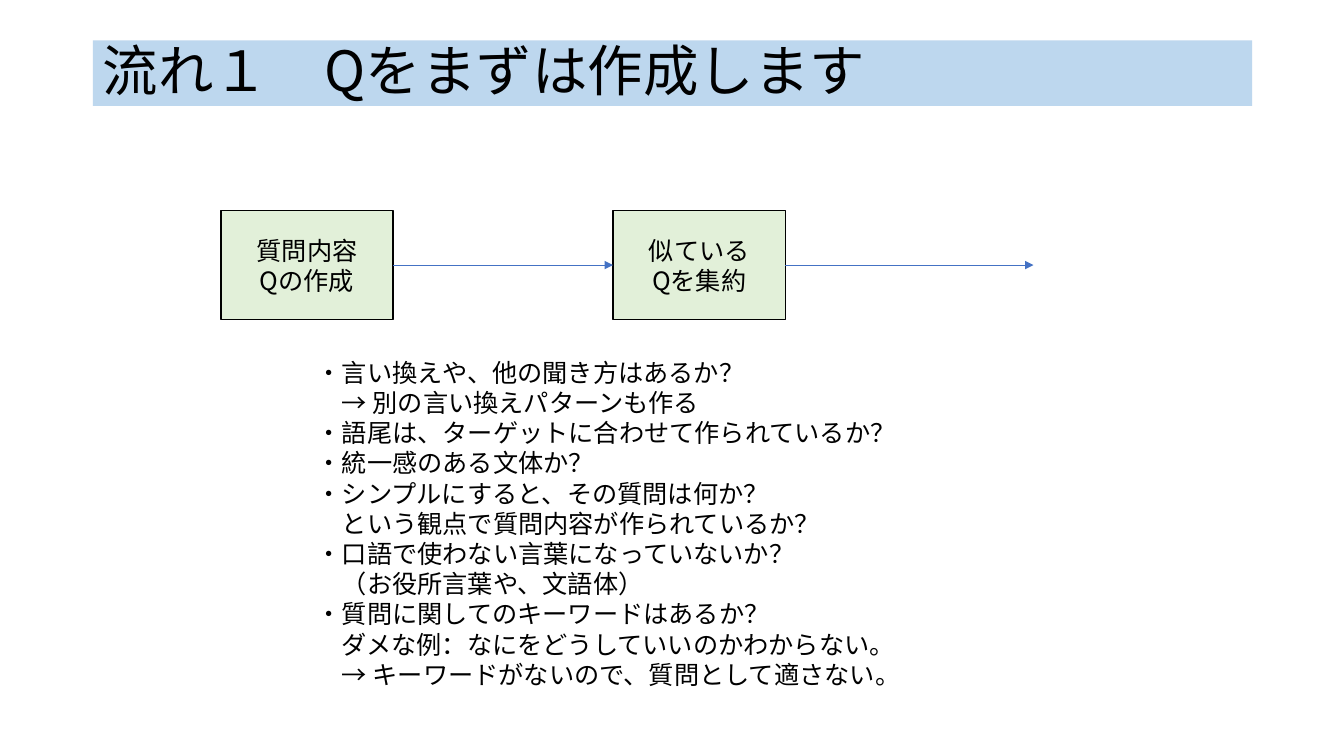
"""Build the slide on the first step: writing the questions."""
from copy import deepcopy
from typing import NamedTuple

from lxml.etree import SubElement
from pptx import Presentation
from pptx.dml.color import RGBColor
from pptx.enum.shapes import MSO_CONNECTOR, MSO_SHAPE
from pptx.enum.text import MSO_ANCHOR, MSO_AUTO_SIZE, PP_ALIGN
from pptx.oxml.ns import qn
from pptx.util import Inches, Pt

WIDTH, HEIGHT = Inches(13.33), Inches(7.5)
FONT = "Noto Sans CJK JP"
TEXT_SIZE = 18
COLORS = {"text": "000000", "banner": "BDD7EE", "step": "E2F0D9",
          "border": "000000", "arrow": "4472C4"}


class Area(NamedTuple):
    """Place on the slide in inches."""
    left: float
    top: float
    width: float
    height: float


class Check(NamedTuple):
    """Point to check, with its lines and whether it has a marker."""
    lines: tuple[str, ...]
    marked: bool = True


BANNER = Area(0.92, 0.4, 11.5, 0.65)
CHECKLIST = Area(3.04, 3.49, 6.08, 3.43)
FIRST_STEP = Area(2.19, 2.09, 1.71, 1.08)
STEP_PITCH = 3.89
FLOW_END = 10.25
STEPS = ("質問内容\vQの作成", "似ている\vQを集約")
CHECKS = (
    Check(("言い換えや、他の聞き方はあるか？", "→ 別の言い換えパターンも作る")),
    Check(("語尾は、ターゲットに合わせて作られているか？",)),
    Check(("統一感のある文体か？",)),
    Check(("シンプルにすると、その質問は何か？", "という観点で質問内容が作られているか？")),
    Check(("口語で使わない言葉になっていないか？", "（お役所言葉や、文語体）")),
    Check(("質問に関してのキーワードはあるか？",)),
    Check(("ダメな例：なにをどうしていいのかわからない。",
           "→ キーワードがないので、質問として適さない。"), marked=False),
)


def color(role: str) -> RGBColor:
    """Return the colour of a role."""
    return RGBColor.from_string(COLORS[role])


def place(shape, area: Area) -> None:
    """Move and size a shape to an area."""
    shape.left, shape.top, shape.width, shape.height = map(Inches, area)


def fill(shape, role: str) -> None:
    """Fill a shape with the colour of a role."""
    shape.fill.solid()
    shape.fill.fore_color.rgb = color(role)


def write(frame, text: str, size: float, align: PP_ALIGN, spacing: float = 1.0) -> None:
    """Set the text of a frame and format its runs and line breaks."""
    frame.text = text
    frame.auto_size = MSO_AUTO_SIZE.NONE
    for paragraph in frame.paragraphs:
        paragraph.alignment = align
        paragraph.line_spacing = spacing
        paragraph.space_before = Pt(0)
        for run in paragraph.runs:
            run.font.size = Pt(size)
            run.font.name = FONT
            run.font.color.rgb = color("text")
            SubElement(run.font._element, qn("a:ea"), typeface=FONT)
        for line_break in paragraph._p.findall(qn("a:br")):
            line_break.insert(0, deepcopy(paragraph.runs[0].font._element))


def add_title(slide) -> None:
    """Fill the title placeholder as a banner."""
    title = slide.shapes.title
    place(title, BANNER)
    fill(title, "banner")
    title.text_frame.vertical_anchor = MSO_ANCHOR.MIDDLE
    write(title.text_frame, "流れ１　Qをまずは作成します", 39.6, PP_ALIGN.LEFT, 0.9)


def add_checklist(slide) -> None:
    """Fill the body placeholder with hanging check points."""
    body = slide.placeholders[1]
    place(body, CHECKLIST)
    frame = body.text_frame
    frame.vertical_anchor = MSO_ANCHOR.TOP
    text = "\n".join(("・" if check.marked else "") + "\v".join(check.lines)
                     for check in CHECKS)
    write(frame, text, TEXT_SIZE, PP_ALIGN.LEFT)
    frame.word_wrap = False
    for check, paragraph in zip(CHECKS, frame.paragraphs):
        properties = paragraph._p.get_or_add_pPr()
        properties.set("marL", str(Pt(TEXT_SIZE)))
        properties.set("indent", str(-Pt(TEXT_SIZE) if check.marked else 0))
        SubElement(properties, qn("a:buNone"))


def add_step(slide, index: int, text: str):
    """Draw one step of the flow."""
    area = FIRST_STEP._replace(left=FIRST_STEP.left + index * STEP_PITCH)
    step = slide.shapes.add_shape(MSO_SHAPE.RECTANGLE, *map(Inches, area))
    step.shadow.inherit = False
    fill(step, "step")
    step.line.color.rgb = color("border")
    step.line.width = Pt(1)
    step.text_frame.vertical_anchor = MSO_ANCHOR.MIDDLE
    write(step.text_frame, text, TEXT_SIZE, PP_ALIGN.CENTER)
    return step


def add_arrow(slide, start: int, end: int) -> None:
    """Draw an arrow along the middle of the steps."""
    middle = Inches(FIRST_STEP.top + FIRST_STEP.height / 2)
    arrow = slide.shapes.add_connector(MSO_CONNECTOR.STRAIGHT, start, middle, end, middle)
    arrow.line.color.rgb = color("arrow")
    arrow.line.width = Pt(0.5)
    SubElement(arrow.line._get_or_add_ln(), qn("a:tailEnd"), type="triangle")
    SubElement(arrow._element.spPr, qn("a:effectLst"))


def main() -> None:
    """Build and save the presentation."""
    presentation = Presentation()
    presentation.slide_width, presentation.slide_height = WIDTH, HEIGHT
    slide = presentation.slides.add_slide(presentation.slide_layouts[1])
    add_title(slide)
    add_checklist(slide)
    steps = [add_step(slide, index, text) for index, text in enumerate(STEPS)]
    ends = [step.left for step in steps[1:]] + [Inches(FLOW_END)]
    for step, end in zip(steps, ends):
        add_arrow(slide, step.left + step.width, end)
    presentation.save("out.pptx")


main()
